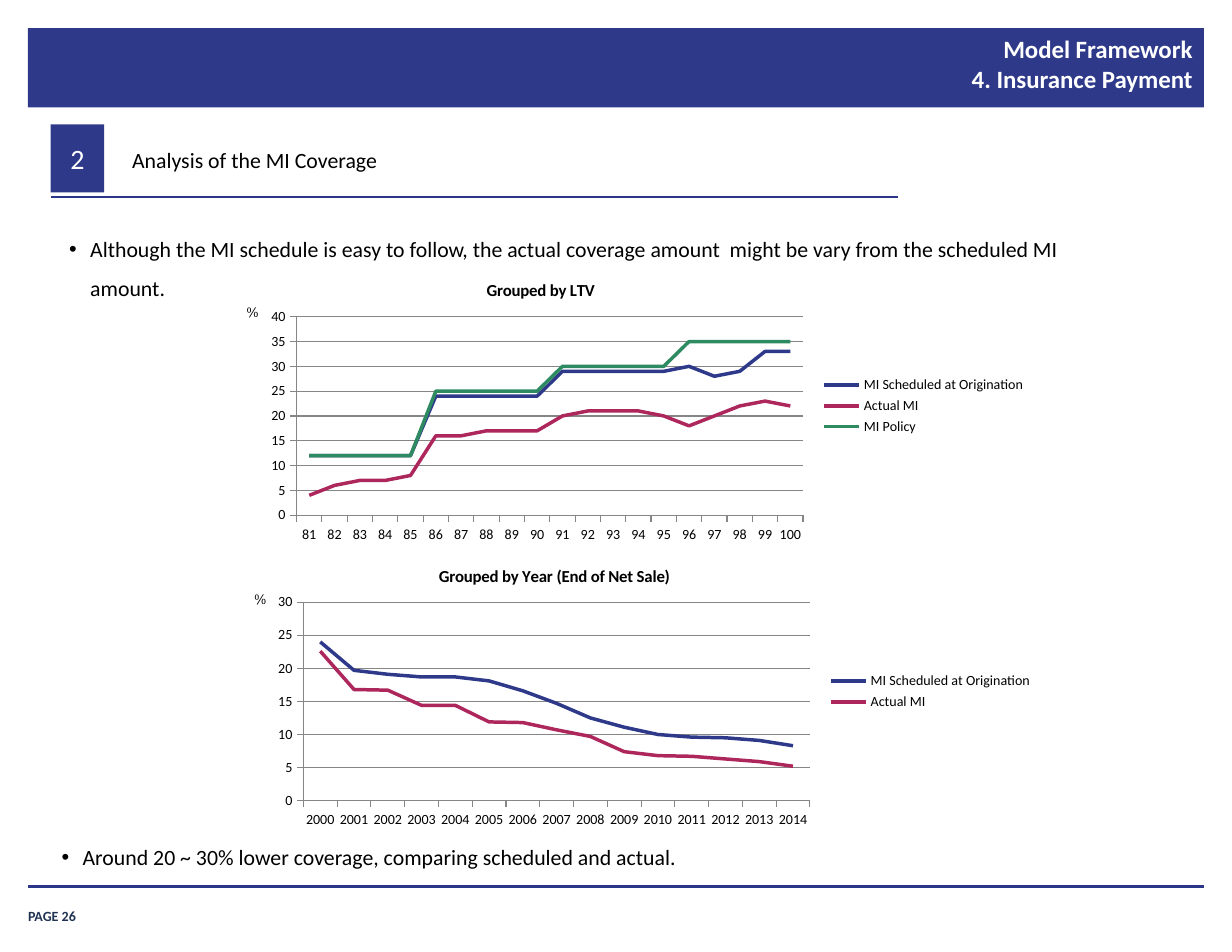
import pptx
import pptx.chart.data
import pptx.dml.color
import pptx.enum.chart
import pptx.enum.shapes
import pptx.enum.text
import pptx.oxml
import pptx.oxml.ns
import pptx.util

Pt = pptx.util.Pt
ALIGN = pptx.enum.text.PP_ALIGN
ANCHOR = pptx.enum.text.MSO_ANCHOR
COLORS = {
    "band": "2E398A",
    "rule": "2B3689",
    "page": "203353",
    "white": "FFFFFF",
    "black": "000000",
    "grid": "868686",
    "actual": "AD275C",
    "policy": "2E8A60",
}
CHART_SIZE = (501, 185)
PLOT_AREA = {"x": 0.05, "y": 0.19, "w": 0.65, "h": 0.69}


def rgb(name):
    return pptx.dml.color.RGBColor.from_string(COLORS[name])


def style_font(font, size, color, bold=False, face="Calibri"):
    font.name = face
    font.size = Pt(size)
    font.bold = bold
    font.color.rgb = rgb(color)


def add_run(paragraph, text, size, color, bold=False, face="Calibri"):
    run = paragraph.add_run()
    run.text = text
    style_font(run.font, size, color, bold, face)


def add_band(slide, left, top, width, height):
    band = slide.shapes.add_shape(
        pptx.enum.shapes.MSO_SHAPE.RECTANGLE, Pt(left), Pt(top), Pt(width), Pt(height))
    band.shadow.inherit = False
    band.fill.solid()
    band.fill.fore_color.rgb = rgb("band")
    band.line.fill.background()
    return band


def add_rule(slide, left, right, y, weight):
    rule = slide.shapes.add_connector(
        pptx.enum.shapes.MSO_CONNECTOR.STRAIGHT, Pt(left), Pt(y), Pt(right), Pt(y))
    rule.line.color.rgb = rgb("rule")
    rule.line.width = Pt(weight)
    properties = rule.element.find(pptx.oxml.ns.qn("p:spPr"))
    properties.append(pptx.oxml.parse_xml(
        f'<a:effectLst {pptx.oxml.ns.nsdecls("a")}/>'))


def add_text(slide, left, top, width, height, lines, size, color, bold=False,
             face="Calibri", align=ALIGN.LEFT, anchor=ANCHOR.TOP,
             insets=(7.2, 3.6), wrap=True):
    box = slide.shapes.add_textbox(Pt(left), Pt(top), Pt(width), Pt(height))
    frame = box.text_frame
    frame.word_wrap = wrap
    frame.vertical_anchor = anchor
    frame.margin_left = frame.margin_right = Pt(insets[0])
    frame.margin_top = frame.margin_bottom = Pt(insets[1])
    paragraph = frame.paragraphs[0]
    paragraph.alignment = align
    for index, line in enumerate(lines):
        if index:
            paragraph.add_line_break()
        add_run(paragraph, line, size, color, bold, face)
    return paragraph


def add_bullet(slide, left, top, width, height, text):
    point = add_text(slide, left, top, width, height, [text], 14, "black")
    point.line_spacing = 1.5
    properties = point._p.get_or_add_pPr()
    properties.set("marL", str(Pt(13.5)))
    properties.set("indent", str(-Pt(13.5)))
    for tag, attribute, value in (("buFont", "typeface", "Arial"), ("buChar", "char", "•")):
        properties.append(pptx.oxml.parse_xml(
            f'<a:{tag} {pptx.oxml.ns.nsdecls("a")} {attribute}="{value}"/>'))


def set_layout(element, index, fractions, target=""):
    for old in element.findall(pptx.oxml.ns.qn("c:layout")):
        element.remove(old)
    modes = "".join(f'<c:{axis}Mode val="edge"/>' for axis in "xy")
    values = "".join(f'<c:{key} val="{value}"/>' for key, value in fractions.items())
    element.insert(index, pptx.oxml.parse_xml(
        f'<c:layout {pptx.oxml.ns.nsdecls("c")}><c:manualLayout>'
        f'{target}{modes}{values}</c:manualLayout></c:layout>'))


def style_axis(axis):
    axis.major_tick_mark = pptx.enum.chart.XL_TICK_MARK.OUTSIDE
    axis.minor_tick_mark = pptx.enum.chart.XL_TICK_MARK.NONE
    axis.format.line.color.rgb = rgb("grid")
    axis.format.line.width = Pt(0.75)
    style_font(axis.tick_labels.font, 9, "black")


def add_line_chart(slide, left, top, title, title_x, categories, series, maximum):
    data = pptx.chart.data.CategoryChartData()
    data.categories = [str(category) for category in categories]
    for name, _, values in series:
        data.add_series(name, values)
    width, height = CHART_SIZE
    chart = slide.shapes.add_chart(
        pptx.enum.chart.XL_CHART_TYPE.LINE, Pt(left), Pt(top),
        Pt(width), Pt(height), data).chart
    style_font(chart.font, 9, "black")

    chart.has_title = True
    heading = chart.chart_title
    add_run(heading.text_frame.paragraphs[0], title, 10.8, "black", True)
    heading.include_in_layout = False
    set_layout(heading._element, 1, {"x": title_x, "y": 0.05})

    chart.has_legend = True
    chart.legend.position = pptx.enum.chart.XL_LEGEND_POSITION.RIGHT
    chart.legend.include_in_layout = False
    style_font(chart.legend.font, 9, "black")

    style_axis(chart.category_axis)
    scale = chart.value_axis
    style_axis(scale)
    scale.minimum_scale = 0
    scale.maximum_scale = maximum
    scale.major_unit = 5
    scale.tick_labels.number_format = "0"
    scale.tick_labels.number_format_is_linked = False
    scale.has_major_gridlines = True
    scale.major_gridlines.format.line.color.rgb = rgb("grid")
    scale.major_gridlines.format.line.width = Pt(0.75)

    plot = chart.plots[0]
    plot.vary_by_categories = False
    for drawn, (_, color, _) in zip(plot.series, series):
        drawn.smooth = False
        drawn.marker.style = pptx.enum.chart.XL_MARKER_STYLE.NONE
        drawn.format.line.color.rgb = rgb(color)
        drawn.format.line.width = Pt(2.25)
    set_layout(chart._chartSpace.chart.plotArea, 0, PLOT_AREA,
               '<c:layoutTarget val="inner"/>')


def add_percent(slide, left, top):
    add_text(slide, left, top, 7.2, 18, ["%"], 9, "black", face="Cambria",
             insets=(0, 3.6), wrap=False)


def main():
    deck = pptx.Presentation()
    deck.slide_width, deck.slide_height = Pt(792), Pt(612)
    slide = deck.slides.add_slide(deck.slide_layouts[6])

    add_band(slide, 18, 18, 756, 51)
    add_text(slide, 18, 577.5, 65.5, 16.5, ["PAGE 26"], 9, "page", True,
             anchor=ANCHOR.BOTTOM, insets=(0, 0))
    add_rule(slide, 18, 774, 570, 2)
    add_text(slide, 239, 17.3, 535.7, 53.3,
             ["Model Framework", "4. Insurance Payment"], 16, "white", True,
             align=ALIGN.RIGHT, insets=(7.9, 4.3))
    add_bullet(slide, 37.4, 139.7, 697, 58.3,
               "Although the MI schedule is easy to follow, the actual coverage amount "
               " might be vary from the scheduled MI amount.")

    number = add_band(slide, 32.5, 80, 34.5, 43.7)
    number.text_frame.vertical_anchor = ANCHOR.MIDDLE
    number.text_frame.paragraphs[0].alignment = ALIGN.CENTER
    add_run(number.text_frame.paragraphs[0], "2", 18, "white")
    add_rule(slide, 32.5, 577.5, 126.7, 1)
    add_text(slide, 77.8, 90.7, 320, 24.5, ["Analysis of the MI Coverage"], 14, "black")

    scheduled, actual = "MI Scheduled at Origination", "Actual MI"
    add_line_chart(slide, 165.6, 168.5, "Grouped by LTV", 0.29, range(81, 101), [
        (scheduled, "band", [12] * 5 + [24] * 5 + [29] * 5 + [30, 28, 29, 33, 33]),
        (actual, "actual", [4, 6, 7, 7, 8, 16, 16, 17, 17, 17,
                            20, 21, 21, 21, 20, 18, 20, 22, 23, 22]),
        ("MI Policy", "policy", [12] * 5 + [25] * 5 + [30] * 5 + [35] * 5),
    ], 40)
    add_percent(slide, 158.4, 191.5)
    add_line_chart(slide, 170, 352, "Grouped by Year (End of Net Sale)", 0.22,
                   range(2000, 2015), [
        (scheduled, "band", [24, 19.7, 19.1, 18.7, 18.7, 18.1, 16.6, 14.7,
                             12.5, 11.1, 10, 9.6, 9.5, 9.1, 8.3]),
        (actual, "actual", [22.6, 16.8, 16.7, 14.4, 14.4, 11.9, 11.8, 10.7,
                            9.7, 7.4, 6.8, 6.7, 6.3, 5.9, 5.2]),
    ], 30)
    add_bullet(slide, 32.5, 530.6, 697, 32.4,
               "Around 20 ~ 30% lower coverage, comparing scheduled and actual.")
    add_percent(slide, 163.4, 375.8)
    deck.save("out.pptx")


if __name__ == "__main__":
    main()
